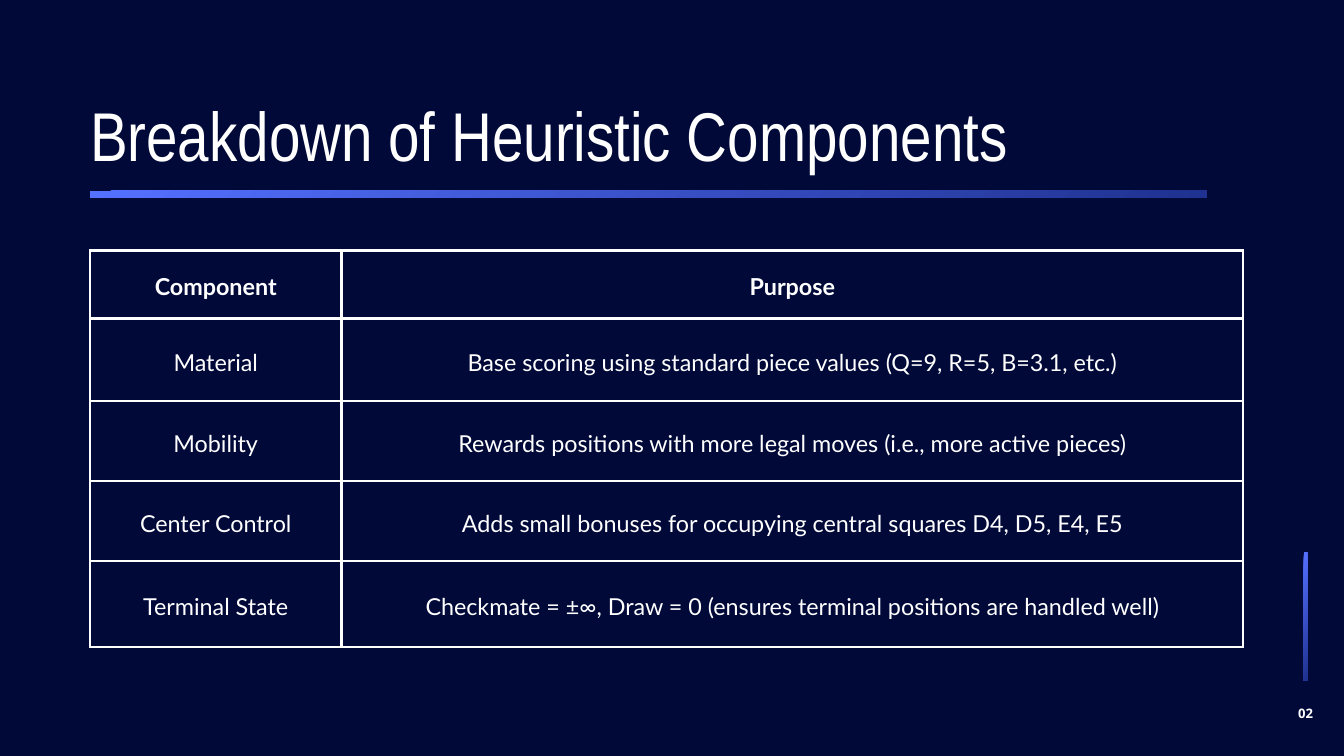
from pptx import Presentation
from pptx.dml.color import RGBColor
from pptx.enum.shapes import MSO_SHAPE
from pptx.enum.text import MSO_ANCHOR, MSO_AUTO_SIZE, PP_ALIGN
from pptx.oxml import parse_xml
from pptx.oxml.ns import nsdecls
from pptx.util import Inches, Pt

COLORS = {
    "night_start": "000938",
    "night_end": "000935",
    "bar_start": "5470FF",
    "bar_end": "1F3291",
    "white": "FFFFFF",
}


def write(frame, text, font, size, spacing, bold=False, align=PP_ALIGN.CENTER,
          anchor=MSO_ANCHOR.TOP, margin=0.0):
    frame.word_wrap = True
    frame.vertical_anchor = anchor
    frame.margin_left = frame.margin_right = Inches(margin)
    frame.margin_top = frame.margin_bottom = Inches(margin)
    frame.text = text
    paragraph = frame.paragraphs[0]
    paragraph.alignment = align
    paragraph.line_spacing = Pt(spacing)
    paragraph.space_before = Pt(0)
    run_font = paragraph.runs[0].font
    run_font.name = font
    run_font.size = Pt(size)
    run_font.bold = bold
    run_font.color.rgb = RGBColor.from_string(COLORS["white"])


def blend(fill, start, end):
    fill.gradient()
    fill.gradient_angle = 315
    for stop, name, position in zip(fill.gradient_stops, (start, end), (0, 1)):
        stop.color.rgb = RGBColor.from_string(COLORS[name])
        stop.position = position


deck = Presentation()
deck.slide_width = Inches(20)
deck.slide_height = Inches(11.25)
slide = deck.slides.add_slide(deck.slide_layouts[5])
blend(slide.background.fill, "night_start", "night_end")

for left, top, width, height in [(19.4, 8.22, 0.06, 1.9), (1.34, 2.84, 16.62, 0.1)]:
    bar = slide.shapes.add_shape(MSO_SHAPE.RECTANGLE, Inches(left), Inches(top),
                                 Inches(width), Inches(height))
    bar.shadow.inherit = False
    bar.line.fill.background()
    blend(bar.fill, "bar_start", "bar_end")

components = [
    ("Component", "Purpose"),
    ("Material", "Base scoring using standard piece values (Q=9, R=5, B=3.1, etc.)"),
    ("Mobility", "Rewards positions with more legal moves (i.e., more active pieces)"),
    ("Center Control", "Adds small bonuses for occupying central squares D4, D5, E4, E5"),
    ("Terminal State", "Checkmate = ±∞, Draw = 0 (ensures terminal positions are handled well)"),
]
column_widths = [3.74, 13.42]
row_heights = [1.01, 1.23, 1.19, 1.19, 1.28]
heuristics = slide.shapes.add_table(
    len(components), len(column_widths), Inches(1.34), Inches(3.73),
    Inches(sum(column_widths)), Inches(sum(row_heights))).table
heuristics.first_row = False
heuristics.horz_banding = False
for column, width in zip(heuristics.columns, column_widths):
    column.width = Inches(width)
for row, height in zip(heuristics.rows, row_heights):
    row.height = Inches(height)

for row_index, component in enumerate(components):
    for column_index, text in enumerate(component):
        cell = heuristics.cell(row_index, column_index)
        write(cell.text_frame, text, "Lato", 25, 35, bold=row_index == 0)
        cell.vertical_anchor = MSO_ANCHOR.MIDDLE
        cell.margin_left = cell.margin_right = Inches(0.21)
        cell.margin_top = cell.margin_bottom = Inches(0.21)
        cell.fill.background()
        properties = cell._tc.get_or_add_tcPr()
        for position, side in enumerate("LRTB"):
            properties.insert(position, parse_xml(
                f'<a:ln{side} {nsdecls("a")} w="{Pt(3)}"><a:solidFill>'
                f'<a:srgbClr val="{COLORS["white"]}"/></a:solidFill></a:ln{side}>'))

page_number = slide.shapes.add_textbox(Inches(19.13), Inches(10.46), Inches(0.6), Inches(0.26))
write(page_number.text_frame, "02", "Open Sans", 14, 19.6, bold=True)

title = slide.shapes.title
title.left, title.top = Inches(1.34), Inches(1.57)
title.width, title.height = Inches(17.16), Inches(1.09)
write(title.text_frame, "Breakdown of Heuristic Components", "Arial Narrow", 73.9, 74.6,
      align=PP_ALIGN.LEFT)
title.text_frame.auto_size = MSO_AUTO_SIZE.NONE

deck.save("out.pptx")
